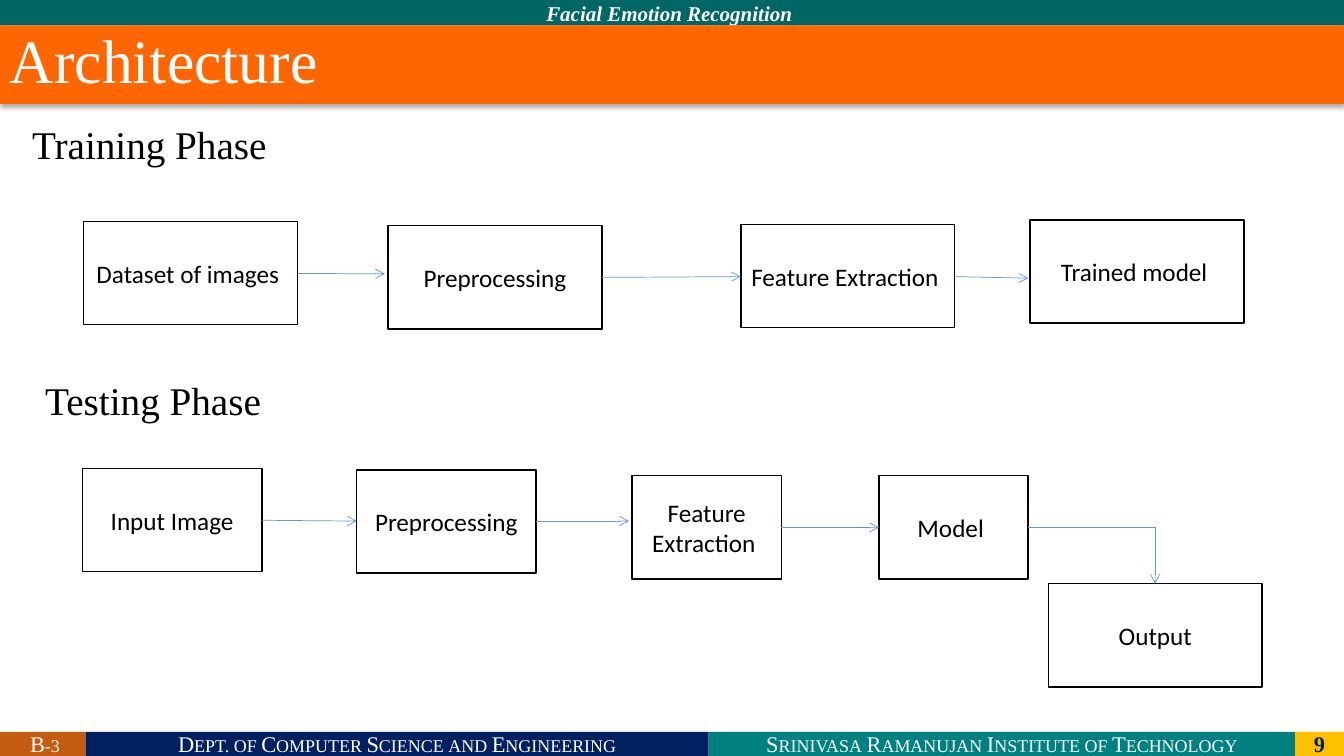
from dataclasses import dataclass
from typing import Any

from pptx import Presentation
from pptx.dml.color import RGBColor
from pptx.enum.shapes import MSO_CONNECTOR as Link, MSO_SHAPE as Preset
from pptx.enum.text import MSO_ANCHOR as Anchor, PP_ALIGN as Align
from pptx.oxml.ns import qn
from pptx.oxml.xmlchemy import OxmlElement as Element
from pptx.util import Cm, Pt

COLOURS = {
    "white": "FFFFFF", "black": "000000", "navy": "002060", "teal": "008080",
    "gold": "FFC000", "pine": "006666", "rust": "C55A11", "orange": "FF6600",
    "arrow": "5B9BD5",
}
SERIF = "Times New Roman"
SMALL_CAPS = {"name": SERIF, "size": Pt(16), "colour": "white", "cap": "small"}
PAGE_NUMBER = {"name": SERIF, "size": Pt(16), "colour": "navy", "bold": True}
HEADER = {"name": SERIF, "size": Pt(15), "colour": "white", "bold": True, "italic": True}
TITLE = {"name": SERIF, "size": Pt(44), "colour": "white"}
HEADING = {"name": SERIF, "size": Pt(28), "colour": "black"}
STEP = {"name": "Calibri", "size": Pt(18), "colour": "black"}
BOX_HEIGHT = 2.6


def colour(name):
    """Look up a named colour."""
    return RGBColor.from_string(COLOURS[name])


def add_child(parent, tag, **values):
    """Append an XML element with the given attributes."""
    child = Element(tag)
    for key, value in values.items():
        child.set(key, str(value))
    parent.append(child)
    return child


@dataclass
class Painter:
    """Draw styled elements on the current slide."""
    page: Any
    line_width: float = 1
    arrow_width: float = 0.5

    def put_text(self, box, text, style, align=Align.CENTER, anchor=Anchor.MIDDLE, spacing=None):
        """Fill a shape with one styled paragraph."""
        frame = box.text_frame
        for key, value in {"word_wrap": True, "vertical_anchor": anchor}.items():
            setattr(frame, key, value)
        para = frame.paragraphs[0]
        for key, value in {"alignment": align, "line_spacing": spacing}.items():
            setattr(para, key, value)
        span = para.add_run()
        span.text = text
        for key, value in style.items():
            if key == "colour":
                span.font.color.rgb = colour(value)
            elif key == "cap":
                span.font._element.set("cap", value)
            else:
                setattr(span.font, key, value)

    def bar(self, left, top, width, height, fill, text, style, **layout):
        """Add a filled rectangle without an outline."""
        box = self.page.shapes.add_shape(
            Preset.RECTANGLE, Cm(left), Cm(top), Cm(width), Cm(height))
        box.shadow.inherit = False
        box.fill.solid()
        box.fill.fore_color.rgb = colour(fill)
        box.line.fill.background()
        self.put_text(box, text, style, **layout)
        return box

    def step(self, left, top, width, text):
        """Add an outlined process box."""
        box = self.bar(left, top, width, BOX_HEIGHT, "white", text, STEP)
        box.line.color.rgb = colour("black")
        box.line.width = Pt(self.line_width)

    def label(self, left, top, width, height, text, spacing=None):
        """Add a phase heading."""
        box = self.page.shapes.add_textbox(Cm(left), Cm(top), Cm(width), Cm(height))
        self.put_text(box, text, HEADING, Align.LEFT, Anchor.TOP, spacing)

    def arrow(self, start_x, start_y, end_x, end_y, bent=False):
        """Add a straight or single-bend arrow."""
        kind = Link.ELBOW if bent else Link.STRAIGHT
        link = self.page.shapes.add_connector(
            kind, Cm(start_x), Cm(start_y), Cm(end_x), Cm(end_y))
        link.line.color.rgb = colour("arrow")
        link.line.width = Pt(self.arrow_width)
        props = link._element.spPr
        add_child(props.find(qn("a:ln")), "a:tailEnd", type="arrow")
        add_child(props, "a:effectLst")
        if bent:
            props.find(qn("a:prstGeom")).set("prst", "bentConnector2")

    def drop_shadow(self, box):
        """Cast a soft shadow below a shape."""
        effects = box._element.spPr.find(qn("a:effectLst"))
        shadow = add_child(effects, "a:outerShdw", blurRad=Pt(3.5), dist=Pt(2.2),
                           dir=90 * 60000, algn="t", rotWithShape=0)
        shade = add_child(shadow, "a:srgbClr", val=COLOURS["black"])
        add_child(shade, "a:alpha", val=32000)


deck = Presentation()
for side, length in {"slide_width": 33.87, "slide_height": 19.05}.items():
    setattr(deck, side, Cm(length))
painter = Painter(deck.slides.add_slide(deck.slide_layouts[6]))

left = 0
for width, fill, text, style in (
    (2.16, "rust", " B-3", SMALL_CAPS),
    (15.7, "navy", "Dept. of Computer Science and Engineering", SMALL_CAPS),
    (14.78, "teal", "Srinivasa Ramanujan Institute of Technology", SMALL_CAPS),
    (1.23, "gold", "9", PAGE_NUMBER),
):
    painter.bar(left, 18.44, width, 0.61, fill, text, style)
    left += width

painter.bar(0, 0, 33.87, 0.64, "pine", "Facial Emotion Recognition ", HEADER)
title = painter.bar(0, 0.64, 33.87, 1.98, "orange", "Architecture", TITLE,
                    align=Align.LEFT, anchor=Anchor.TOP, spacing=0.9)
painter.drop_shadow(title)

painter.label(0.56, 3.05, 32.72, 1.4, "Training Phase ", spacing=0.9)
painter.label(0.89, 9.37, 6.93, 1.45, "Testing Phase ")

for step in (
    (2.11, 5.58, 5.39, "Dataset of images "),
    (9.78, 5.69, 5.39, "Preprocessing"),
    (18.67, 5.66, 5.39, "Feature Extraction "),
    (25.96, 5.54, 5.39, "Trained model "),
    (2.08, 11.81, 4.52, "Input Image"),
    (8.99, 11.84, 4.52, "Preprocessing"),
    (15.93, 11.99, 3.76, "Feature Extraction "),
    (22.15, 11.99, 3.76, "Model "),
    (26.42, 14.71, 5.39, "Output"),
):
    painter.step(*step)

for ends in (
    (7.5, 6.89, 9.7, 6.9),
    (15.17, 6.99, 18.67, 6.97),
    (24.06, 6.97, 25.91, 7.01),
    (6.6, 13.11, 8.99, 13.13),
    (13.51, 13.13, 15.85, 13.13),
    (19.69, 13.29, 22.15, 13.29),
):
    painter.arrow(*ends)
painter.arrow(25.91, 13.29, 29.11, 14.71, bent=True)

deck.save("out.pptx")
